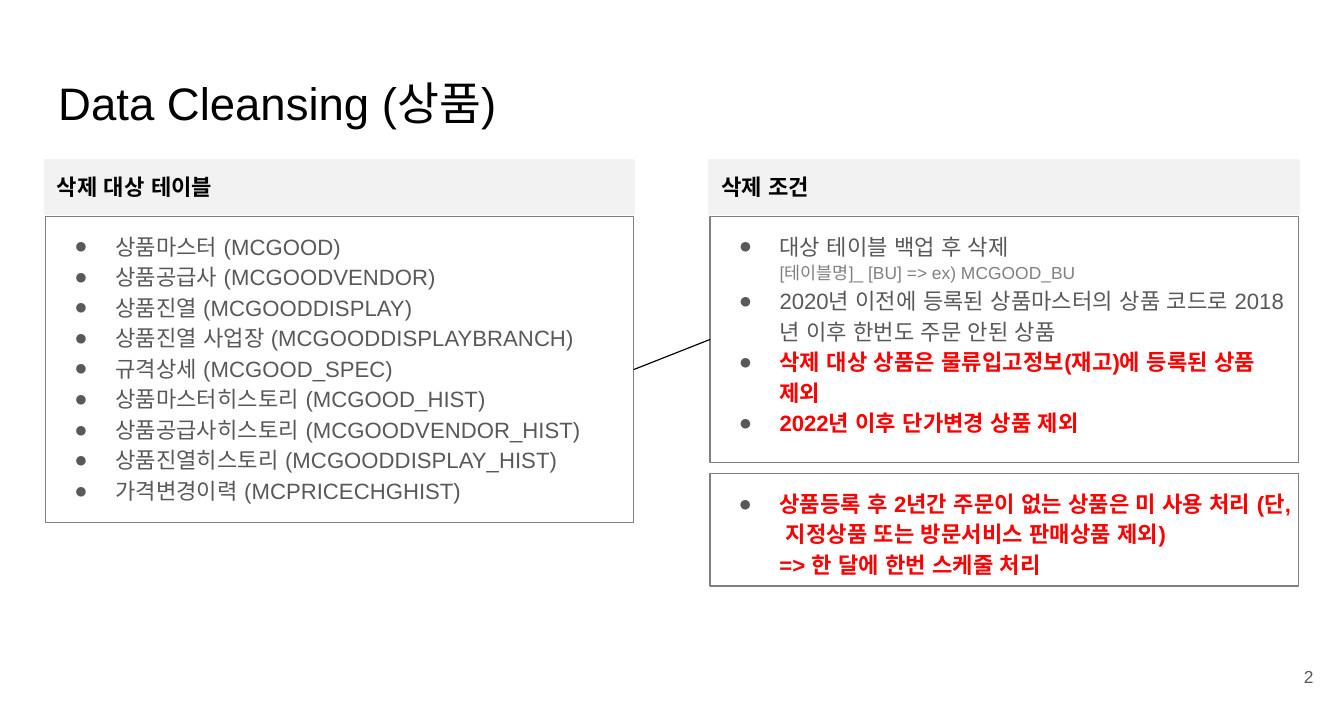
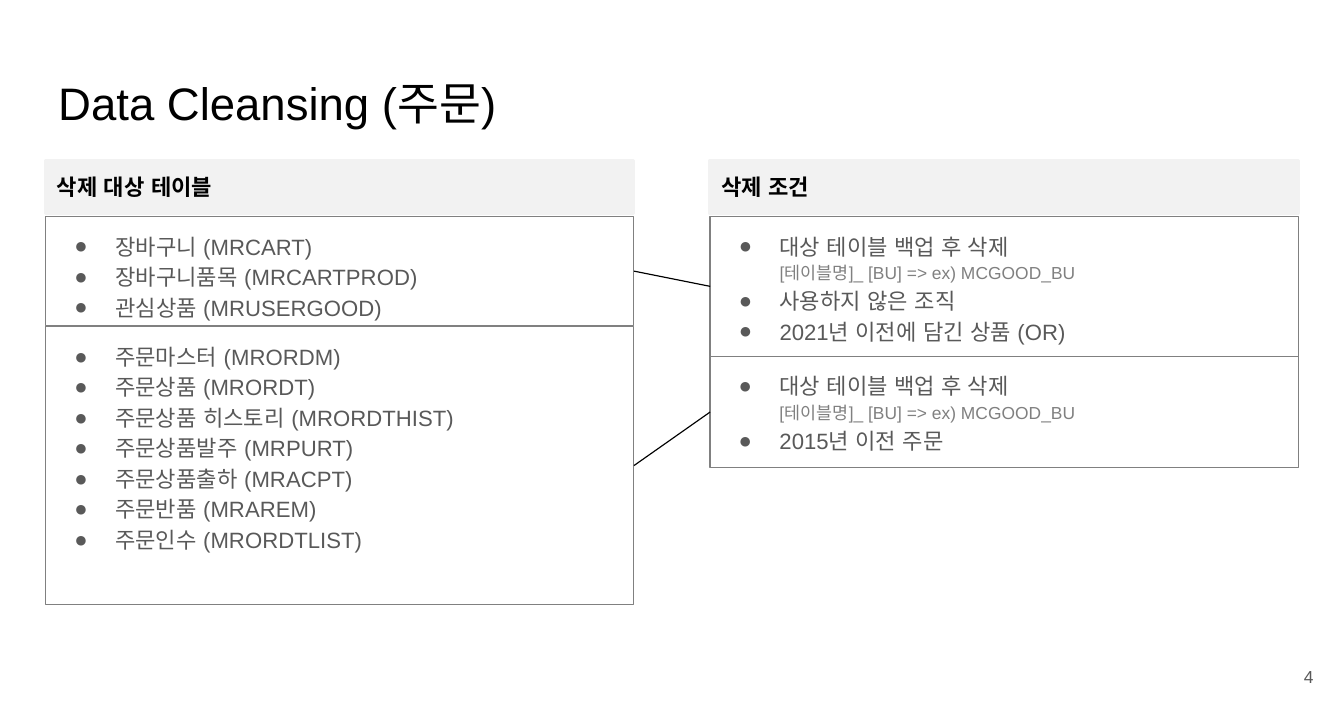
from copy import deepcopy
from dataclasses import dataclass

from lxml.etree import SubElement
from pptx import Presentation
from pptx.dml.color import RGBColor as Rgb
from pptx.enum.shapes import MSO_CONNECTOR as Connector
from pptx.enum.shapes import MSO_SHAPE as Shape
from pptx.enum.text import MSO_ANCHOR as Anchor
from pptx.enum.text import MSO_AUTO_SIZE as AutoSize
from pptx.enum.text import PP_ALIGN as Align
from pptx.oxml.ns import qn
from pptx.util import Cm, Pt


@dataclass(frozen=True)
class TextStyle:
    size: float
    color: str
    bold: bool = False


@dataclass(frozen=True)
class Theme:
    font: str = "Arial"
    border: str = "808080"
    band: str = "F2F2F2"
    link: str = "000000"
    bullet: str = "595959"
    title: TextStyle = TextStyle(28.8, "000000")
    heading: TextStyle = TextStyle(14, "000000", True)
    body: TextStyle = TextStyle(14, "595959")
    alert: TextStyle = TextStyle(14, "FF0000", True)
    note: TextStyle = TextStyle(11, "808080")
    page: TextStyle = TextStyle(11, "595959")


THEME = Theme()
PAGE_WIDTH, PAGE_HEIGHT = 30, 16
MARGIN = 1.02
COLUMN_WIDTH = 13.13
COLUMN_LEFTS = (MARGIN, PAGE_WIDTH - MARGIN - COLUMN_WIDTH)
HEADING_TOP, HEADING_HEIGHT = 3.58, 1.19
PANEL_TOP = 4.83
HEADINGS = ("삭제 대상 테이블", "삭제 조건")
PADDING = {f"margin_{side}": Cm(0.28) for side in ("left", "top", "right", "bottom")}


def alert(*lines):
    return [(line, THEME.alert) for line in lines]


BACKUP = [
    ("대상 테이블 백업 후 삭제", THEME.body),
    ("[테이블명]_ [BU] => ex) MCGOOD_BU", THEME.note),
]

PAGES = [
    {
        "title": "Data Cleansing (상품)",
        "number": "2",
        "gaps": (0, 0.25),
        "columns": (
            [(6.83, [
                "상품마스터 (MCGOOD)",
                "상품공급사 (MCGOODVENDOR)",
                "상품진열 (MCGOODDISPLAY)",
                "상품진열 사업장 (MCGOODDISPLAYBRANCH)",
                "규격상세 (MCGOOD_SPEC)",
                "상품마스터히스토리 (MCGOOD_HIST)",
                "상품공급사히스토리 (MCGOODVENDOR_HIST)",
                "상품진열히스토리 (MCGOODDISPLAY_HIST)",
                "가격변경이력 (MCPRICECHGHIST)",
            ])],
            [(5.49, [
                BACKUP,
                "2020년 이전에 등록된 상품마스터의 상품 코드로 2018년 이후 한번도 주문 안된 상품",
                alert("삭제 대상 상품은 물류입고정보(재고)에 등록된 상품 제외"),
                alert("2022년 이후 단가변경 상품 제외"),
            ]), (2.51, [
                alert(
                    "상품등록 후 2년간 주문이 없는 상품은 미 사용 처리 (단, 지정상품 또는 방문서비스 판매상품 제외)",
                    "=> 한 달에 한번 스케줄 처리",
                ),
            ])],
        ),
    },
    {
        "title": "Data Cleansing (주문)",
        "number": "4",
        "gaps": (0.02, 0),
        "columns": (
            [(2.44, [
                "장바구니 (MRCART)",
                "장바구니품목 (MRCARTPROD)",
                "관심상품 (MRUSERGOOD)",
            ]), (6.2, [
                "주문마스터 (MRORDM)",
                "주문상품 (MRORDT)",
                "주문상품 히스토리 (MRORDTHIST)",
                "주문상품발주 (MRPURT)",
                "주문상품출하 (MRACPT)",
                "주문반품 (MRAREM)",
                "주문인수 (MRORDTLIST)",
            ])],
            [(3.12, [
                BACKUP,
                "사용하지 않은 조직",
                "2021년 이전에 담긴 상품 (OR)",
            ]), (2.49, [
                BACKUP,
                "2015년 이전 주문",
            ])],
        ),
    },
]


def apply(target, values):
    for name, value in values.items():
        setattr(target, name, value)


def place(shape, left, top, width, height):
    box = {"left": left, "top": top, "width": width, "height": height}
    apply(shape, {name: Cm(length) for name, length in box.items()})


def outline(shape, color, width):
    shape.line.color.rgb = Rgb.from_string(color)
    shape.line.width = Pt(width)


def add_run(paragraph, text, style):
    run = paragraph.add_run()
    run.text = text
    apply(run.font, {"name": THEME.font, "size": Pt(style.size), "bold": style.bold})
    run.font.color.rgb = Rgb.from_string(style.color)
    SubElement(run.font._element, qn("a:ea"), typeface=THEME.font)
    return run


def write_line(shape, text, style, anchor, align=Align.LEFT, padding=PADDING):
    frame = shape.text_frame
    apply(frame, {"word_wrap": True, "auto_size": AutoSize.NONE,
                  "vertical_anchor": anchor, **padding})
    paragraph = frame.paragraphs[0]
    paragraph.alignment = align
    add_run(paragraph, text, style)


def add_bullet(paragraph):
    properties = paragraph._p.get_or_add_pPr()
    properties.set("marL", str(Cm(1.27)))
    properties.set("indent", str(-Cm(0.91)))
    color = SubElement(properties, qn("a:buClr"))
    SubElement(color, qn("a:srgbClr"), val=THEME.bullet)
    SubElement(properties, qn("a:buFont"), typeface=THEME.font)
    SubElement(properties, qn("a:buChar"), char="●")


def write_bullets(shape, items):
    frame = shape.text_frame
    apply(frame, {"word_wrap": True, "auto_size": AutoSize.NONE,
                  "vertical_anchor": Anchor.TOP, **PADDING})
    for index, item in enumerate(items):
        paragraph = frame.add_paragraph() if index else frame.paragraphs[0]
        add_bullet(paragraph)
        apply(paragraph, {"alignment": Align.LEFT, "line_spacing": 1.15,
                          "space_before": Pt(0), "space_after": Pt(0)})
        lines = [(item, THEME.body)] if isinstance(item, str) else item
        run = None
        for text, style in lines:
            if run is not None:
                paragraph.add_line_break()
                paragraph._p[-1].append(deepcopy(run.font._element))
            run = add_run(paragraph, text, style)


def add_rectangle(slide):
    rectangle = slide.shapes.add_shape(Shape.RECTANGLE, 0, 0, 0, 0)
    rectangle.shadow.inherit = False
    return rectangle


def add_heading(slide, text, left):
    heading = add_rectangle(slide)
    place(heading, left, HEADING_TOP, COLUMN_WIDTH, HEADING_HEIGHT)
    heading.fill.solid()
    heading.fill.fore_color.rgb = Rgb.from_string(THEME.band)
    outline(heading, THEME.band, 2)
    write_line(heading, text, THEME.heading, Anchor.MIDDLE, padding={})


def add_panels(slide, placeholder, left, gap, contents):
    panels = []
    top = PANEL_TOP
    for height, items in contents:
        panel = add_rectangle(slide) if panels else placeholder
        place(panel, left, top, COLUMN_WIDTH, height)
        panel.fill.background()
        outline(panel, THEME.border, 0.75)
        write_bullets(panel, items)
        panels.append(panel)
        top += height + gap
    return panels


def add_link(slide, target, condition):
    link = slide.shapes.add_connector(Connector.STRAIGHT, 0, 0, 0, 0)
    link.begin_connect(target, 3)
    link.end_connect(condition, 1)
    outline(link, THEME.link, 0.75)
    SubElement(link._element.spPr, qn("a:effectLst"))


def add_page_number(slide, number):
    page_number = slide.shapes.add_textbox(0, 0, 0, 0)
    place(page_number, 27.8, 14.48, 1.8, 1.22)
    write_line(page_number, number, THEME.page, Anchor.MIDDLE, Align.RIGHT)


def build_page(deck, page):
    slide = deck.slides.add_slide(deck.slide_layouts[3])
    title, *bodies = slide.placeholders
    place(title, MARGIN, 1.4, PAGE_WIDTH - 2 * MARGIN, 1.78)
    write_line(title, page["title"], THEME.title, Anchor.TOP)
    columns = []
    for heading, left, body, gap, contents in zip(
        HEADINGS, COLUMN_LEFTS, bodies, page["gaps"], page["columns"]
    ):
        add_heading(slide, heading, left)
        columns.append(add_panels(slide, body, left, gap, contents))
    for target, condition in zip(*columns):
        add_link(slide, target, condition)
    add_page_number(slide, page["number"])


def main():
    deck = Presentation()
    apply(deck, {"slide_width": Cm(PAGE_WIDTH), "slide_height": Cm(PAGE_HEIGHT)})
    for page in PAGES:
        build_page(deck, page)
    deck.save("out.pptx")


if __name__ == "__main__":
    main()
